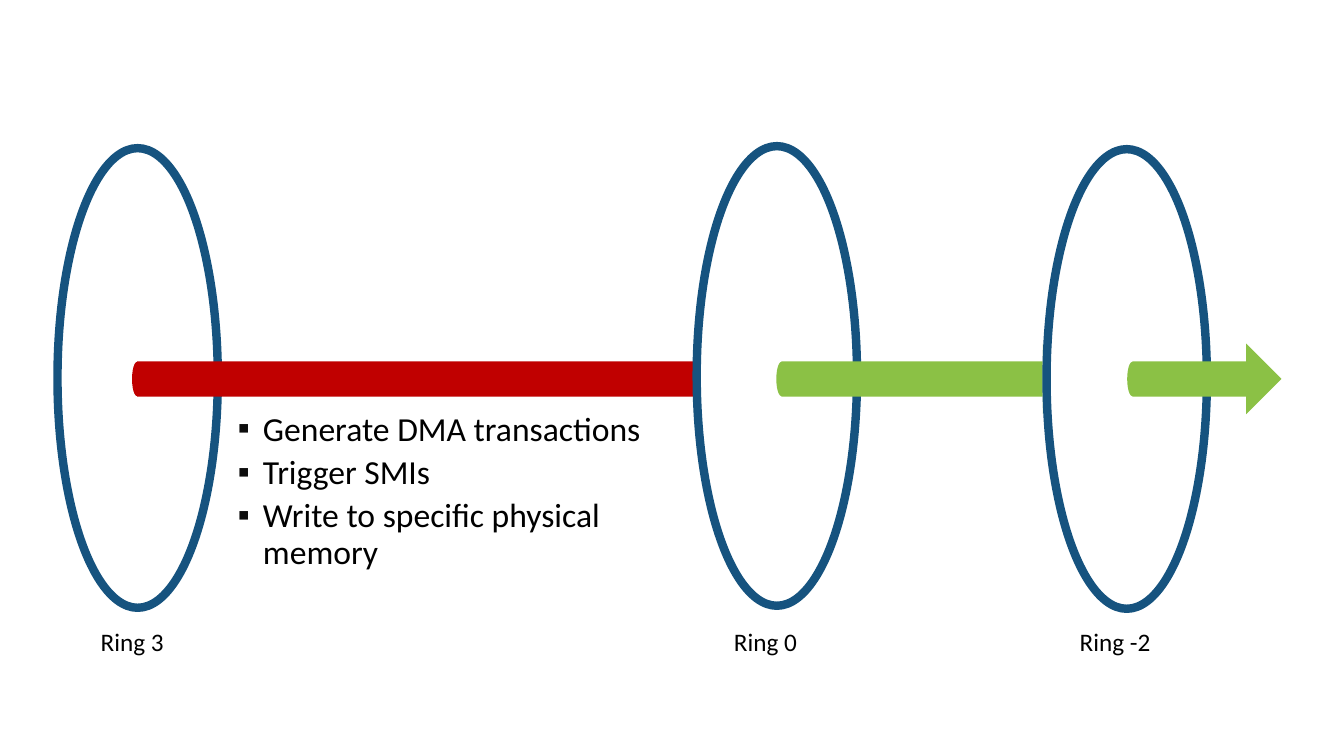
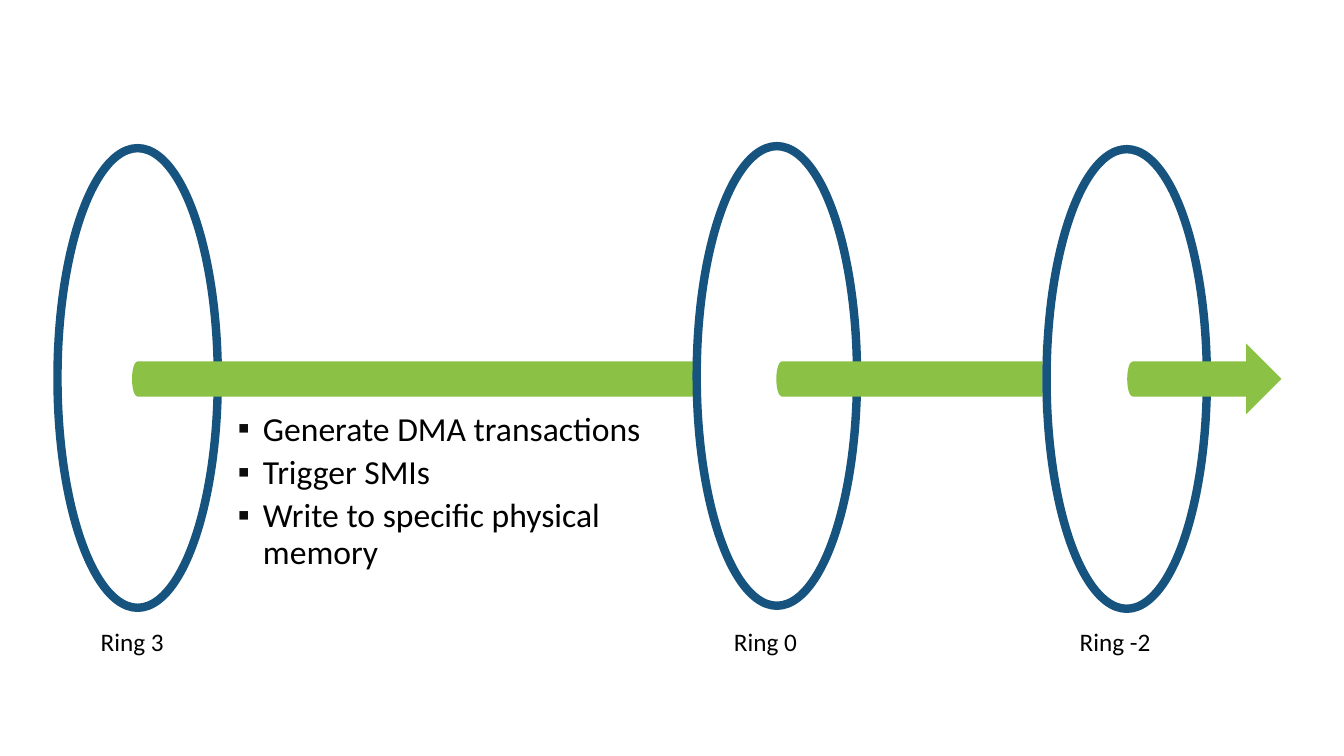
from lxml import etree
from pptx import Presentation
from pptx.dml.color import RGBColor
from pptx.enum import shapes, text
from pptx.oxml import ns
from pptx.util import Inches, Pt

COLORS = {"ring": "16537F", "blocked": "C00000", "open": "8BC145",
          "text": "000000", "bullet": "0D0D0D"}
FONT = "Calibri"
RING_W, RING_H = 1.59, 4.56
ARROW_TOP, ARROW_H = 3.41, 0.7
CAP_W, CAP_H = 0.1, 0.34
LABEL_TOP, LABEL_W, LABEL_H = 6.16, 1.31, 0.47
STAGES = [
    {"label": "Ring 3", "label_x": 0.9, "ring": (0.57, 1.47), "arrow": (1.36, 5.54), "head": 0},
    {"label": "Ring 0", "label_x": 7.18, "ring": (6.91, 1.45), "arrow": (7.75, 2.59), "head": 0},
    {"label": "Ring -2", "label_x": 10.61, "ring": (10.38, 1.48), "arrow": (11.23, 1.48), "head": 0.5},
]
STEPS = ["Generate DMA transactions", "Trigger SMIs", "Write to specific physical memory"]


def color(name):
    """Return the named colour."""
    return RGBColor.from_string(COLORS[name])


def add_text(s, box, lines, size):
    """Add a wrapping text box with one paragraph per line and return its paragraphs."""
    tf = s.shapes.add_textbox(*map(Inches, box)).text_frame
    tf.word_wrap = True
    tf.vertical_anchor = text.MSO_ANCHOR.TOP
    for i, line in enumerate(lines):
        p = tf.paragraphs[0] if i == 0 else tf.add_paragraph()
        r = p.add_run()
        r.text = line
        r.font.name = FONT
        r.font.size = Pt(size)
        r.font.color.rgb = color("text")
    return tf.paragraphs


def add_bullet(p):
    """Give a paragraph a square bullet with a hanging indent."""
    pPr = p._p.get_or_add_pPr()
    pPr.set("marL", str(Inches(0.75)))
    pPr.set("indent", str(Inches(-0.25)))
    clr = etree.SubElement(pPr, ns.qn("a:buClr"))
    etree.SubElement(clr, ns.qn("a:srgbClr"), val=COLORS["bullet"])
    etree.SubElement(pPr, ns.qn("a:buFont"), typeface=FONT)
    etree.SubElement(pPr, ns.qn("a:buChar"), char="▪")


def add_steps(s):
    """Add the bulleted list below the first arrow."""
    for i, p in enumerate(add_text(s, (1.76, 4.04, 5.35, 2.45), STEPS, 24)):
        add_bullet(p)
        p.line_spacing = 0.9
        if i:
            p.space_before = Pt(5)


def add_ring(s, left, top):
    """Add a hollow privilege ring."""
    sp = s.shapes.add_shape(shapes.MSO_SHAPE.OVAL, *map(Inches, (left, top, RING_W, RING_H)))
    sp.shadow.inherit = False
    sp.fill.background()
    sp.line.color.rgb = color("ring")
    sp.line.width = Pt(6)


def add_arrow(s, left, length, head, fill):
    """Add a grouped arrow with a rounded tail."""
    group = s.shapes.add_group_shape()
    cap_box = (left - CAP_W / 2, ARROW_TOP + (ARROW_H - CAP_H) / 2, CAP_W, CAP_H)
    arrow = group.shapes.add_shape(shapes.MSO_SHAPE.RIGHT_ARROW,
                                   *map(Inches, (left, ARROW_TOP, length, ARROW_H)))
    arrow.adjustments[0] = 0.5
    arrow.adjustments[1] = head
    cap = group.shapes.add_shape(shapes.MSO_SHAPE.OVAL, *map(Inches, cap_box))
    for sp in (arrow, cap):
        sp.shadow.inherit = False
        sp.fill.solid()
        sp.fill.fore_color.rgb = color(fill)
        sp.line.fill.background()


def add_ring_slide(prs, first_fill):
    """Add a slide whose first arrow has the given fill."""
    s = prs.slides.add_slide(prs.slide_layouts[6])
    for stage, fill in zip(STAGES, (first_fill, "open", "open")):
        add_ring(s, *stage["ring"])
        add_arrow(s, *stage["arrow"], stage["head"], fill)
        add_text(s, (stage["label_x"], LABEL_TOP, LABEL_W, LABEL_H), [stage["label"]], 18)
    add_steps(s)


def main():
    """Build and save the presentation."""
    prs = Presentation()
    prs.slide_width, prs.slide_height = Inches(13.33), Inches(7.5)
    for first_fill in ("blocked", "open"):
        add_ring_slide(prs, first_fill)
    prs.save("out.pptx")


if __name__ == "__main__":
    main()
